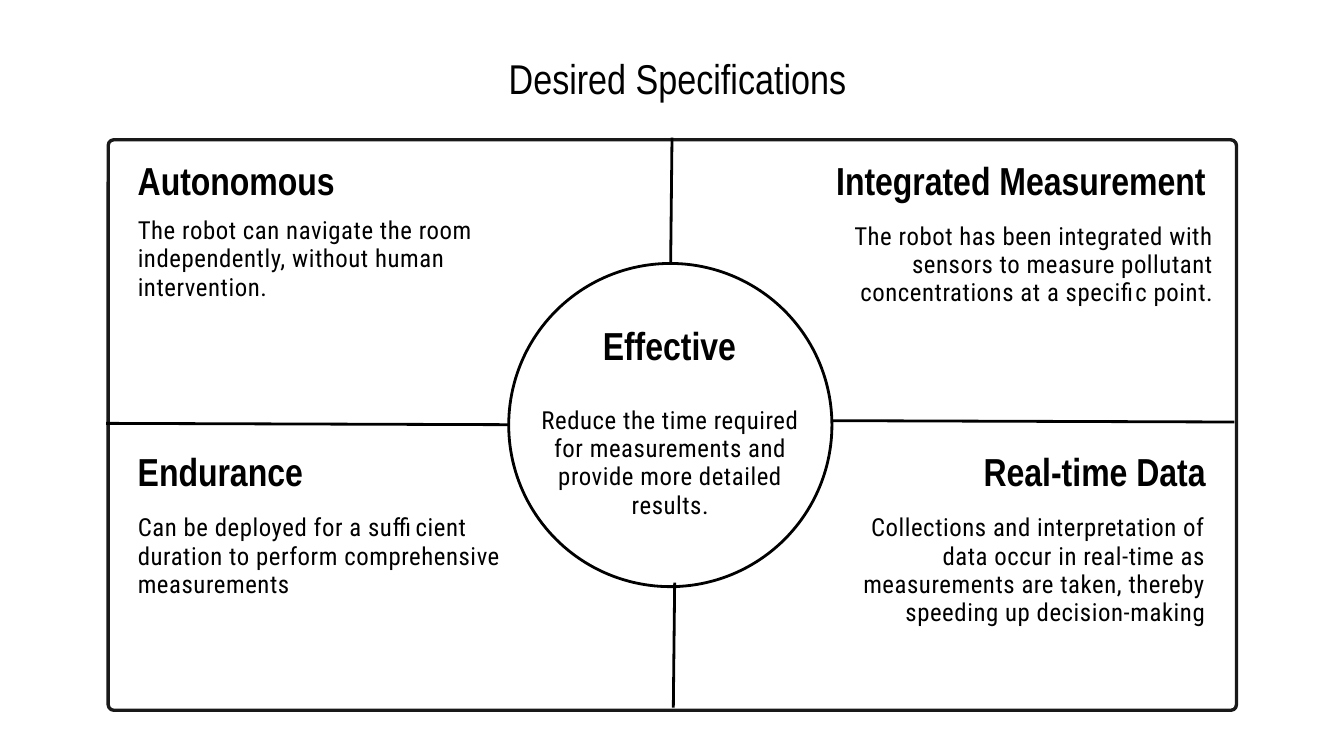
import pptx
import pptx.util
import pptx.dml.color
import pptx.enum.shapes
import pptx.enum.text
import lxml.etree
from dataclasses import dataclass
from pptx.oxml.ns import qn

Inches = pptx.util.Inches
Pt = pptx.util.Pt
RGB = pptx.dml.color.RGBColor.from_string
ALIGN = pptx.enum.text.PP_ALIGN
SHAPE = pptx.enum.shapes.MSO_SHAPE


@dataclass(frozen=True)
class Theme:
    ink: str = "000000"
    frame: str = "191919"
    line: float = 3
    frame_line: float = 3.6
    title = {"name": "Arial Narrow", "size": Pt(44.6), "bold": False}
    heading = {"name": "Arial Narrow", "size": Pt(41.8), "bold": True}
    body = {"name": "Roboto Condensed", "size": Pt(26.6), "bold": False}
    title_leading: float = 62.4
    heading_leading: float = 58.5
    body_leading: float = 30.3
    body_tracking: int = 60


THEME = Theme()


def write(sp, text, font, leading, align, tracking=0):
    tf = sp.text_frame
    settings = {
        "word_wrap": True,
        "auto_size": pptx.enum.text.MSO_AUTO_SIZE.SHAPE_TO_FIT_TEXT,
        "vertical_anchor": pptx.enum.text.MSO_ANCHOR.TOP,
        "margin_left": 0, "margin_top": 0, "margin_right": 0, "margin_bottom": 0,
    }
    for name, value in settings.items():
        setattr(tf, name, value)
    p = tf.paragraphs[0]
    p.alignment = align
    p.line_spacing = Pt(leading)
    r = p.add_run()
    r.text = text
    for name, value in font.items():
        setattr(r.font, name, value)
    r.font.color.rgb = RGB(THEME.ink)
    if tracking:
        r._r.get_or_add_rPr().set("spc", str(tracking))


def add_title(s, box, text):
    sp = s.shapes.title
    for name, value in zip(("left", "top", "width", "height"), box):
        setattr(sp, name, Inches(value))
    write(sp, text, THEME.title, THEME.title_leading, ALIGN.LEFT)


def add_outline(s, kind, box, color, width):
    sp = s.shapes.add_shape(kind, *map(Inches, box))
    sp.shadow.inherit = False
    sp.fill.background()
    sp.line.color.rgb = RGB(color)
    sp.line.width = Pt(width)
    return sp


def add_frame(s, box):
    sp = add_outline(s, SHAPE.ROUNDED_RECTANGLE, box, THEME.frame, THEME.frame_line)
    sp.adjustments[0] = 0.01


def add_divider(s, start, end):
    line = s.shapes.add_connector(pptx.enum.shapes.MSO_CONNECTOR.STRAIGHT,
                                  *map(Inches, start + end))
    line.line.color.rgb = RGB(THEME.ink)
    line.line.width = Pt(THEME.line)
    lxml.etree.SubElement(line._element.spPr, qn("a:effectLst"))


def add_spec(s, heading_box, body_box, heading, body, heading_align, body_align):
    sp = s.shapes.add_textbox(*map(Inches, heading_box))
    write(sp, heading, THEME.heading, THEME.heading_leading, heading_align)
    sp = s.shapes.add_textbox(*map(Inches, body_box))
    write(sp, body, THEME.body, THEME.body_leading, body_align, THEME.body_tracking)


def add_quadrant(s, box, heading, body, align, body_shift=(0, 0)):
    left, top, width, gap = box
    body_width = 5.68
    body_left = left if align == ALIGN.LEFT else left + width - body_width
    add_spec(s, (left, top, width, 0.8),
             (body_left + body_shift[0], top + gap + body_shift[1], body_width, 1.25),
             heading, body, align, align)


def add_center(s, box, heading, body):
    left, top, size = box
    add_outline(s, SHAPE.OVAL, (left, top, size, size), THEME.ink, THEME.line)
    add_spec(s, (left + 1.4, top + 0.75, 2.01, 0.8),
             (left + 0.47, top + 2.12, 3.87, 1.25),
             heading, body, ALIGN.LEFT, ALIGN.CENTER)


def main():
    prs = pptx.Presentation()
    prs.slide_width = Inches(20)
    prs.slide_height = Inches(11.25)
    s = prs.slides.add_slide(prs.slide_layouts[5])

    add_title(s, (7.57, 0.66, 5.45, 0.84), "Desired Specifications")
    add_frame(s, (1.61, 2.08, 16.79, 8.49))
    add_center(s, (7.57, 3.92, 4.81), "Effective",
               "Reduce the time required for measurements and provide more detailed results.")

    dividers = [
        ((1.58, 6.3), (7.57, 6.32)),
        ((12.38, 6.26), (18.37, 6.28)),
        ((9.98, 3.92), (10, 2.05)),
        ((10.02, 10.53), (10.04, 8.67)),
    ]
    for start, end in dividers:
        add_divider(s, start, end)

    add_quadrant(s, (2.05, 2.21, 7.26, 1.01), "Autonomous",
                 "The robot can navigate the room independently, without human intervention.",
                 ALIGN.LEFT)
    add_quadrant(s, (11.86, 2.21, 6.08, 1.01), "Integrated Measurement",
                 "The robot has been integrated with sensors to measure pollutant "
                 "concentrations at a specific point.",
                 ALIGN.RIGHT, (0.12, 0.08))
    add_quadrant(s, (2.05, 6.54, 4.93, 1.1), "Endurance",
                 "Can be deployed for a sufficient duration to perform comprehensive "
                 "measurements",
                 ALIGN.LEFT)
    add_quadrant(s, (13.03, 6.54, 4.91, 1.1), "Real-time Data",
                 "Collections and interpretation of data occur in real-time as "
                 "measurements are taken, thereby speeding up decision-making",
                 ALIGN.RIGHT)

    prs.save("out.pptx")


if __name__ == "__main__":
    main()
